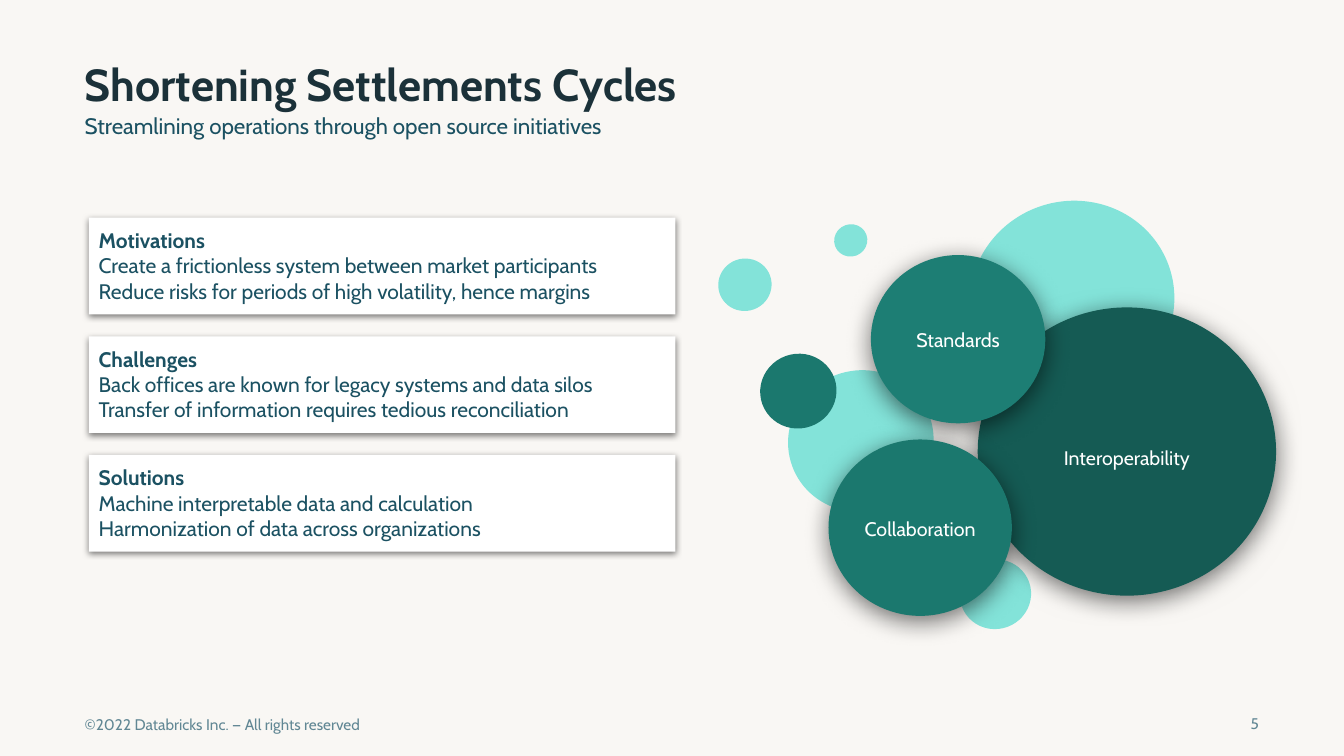
import pptx
import pptx.util
import pptx.dml.color
import pptx.enum.shapes
import pptx.enum.text
import pptx.oxml.ns
import lxml.etree

Pt = pptx.util.Pt
RGBColor = pptx.dml.color.RGBColor
Shape = pptx.enum.shapes.MSO_SHAPE
Align = pptx.enum.text.PP_ALIGN
Anchor = pptx.enum.text.MSO_ANCHOR

PAPER = RGBColor(0xF9, 0xF7, 0xF4)
WHITE = RGBColor(0xFF, 0xFF, 0xFF)
INK = RGBColor(0x1B, 0x31, 0x39)
BLUE = RGBColor(0x1B, 0x51, 0x62)
GREY = RGBColor(0x61, 0x87, 0x94)
MINT = RGBColor(0x83, 0xE3, 0xD9)
TEAL = RGBColor(0x1B, 0x78, 0x6E)
MID_TEAL = RGBColor(0x1D, 0x7E, 0x74)
DARK_TEAL = RGBColor(0x15, 0x5B, 0x54)

CARDS = [
    ("Motivations",
     "Create a frictionless system between market participants",
     "Reduce risks for periods of high volatility, hence margins"),
    ("Challenges",
     "Back offices are known for legacy systems and data silos",
     "Transfer of information requires tedious reconciliation"),
    ("Solutions",
     "Machine interpretable data and calculation",
     "Harmonization of data across organizations"),
]
CARD_TOP, CARD_PITCH = 155.5, 84.7

BUBBLES = [
    ((686.2, 398.9, 49.7, 51.1), MINT),
    ((513.4, 184.3, 37.4, 38.2), MINT),
    ((564.5, 262.8, 100.8, 104.4), MINT),
    ((694.8, 141.1, 141.8, 146.9), MINT),
    ((543.6, 252, 53.3, 54.7), TEAL),
    ((596.2, 159.8, 23, 23.8), MINT),
]
# Each topic: label, frame, fill, distance of the label below the centre
TOPICS = [
    ("Interoperability", (698.4, 219.6, 213.1, 205.9), DARK_TEAL, 4.3),
    ("Standards", (622.1, 182.2, 124.6, 120.2), MID_TEAL, 0),
    ("Collaboration", (591.8, 313.9, 131, 126), TEAL, 0.8),
]


def write(box, text, size=15, color=BLUE, bold_first=False, align=Align.LEFT,
          anchor=Anchor.TOP, insets=(0, 0, 0, 0), spacing=1.0, wrap=True):
    """Fill a shape with one paragraph per line of text."""
    frame = box.text_frame
    frame.auto_size = pptx.enum.text.MSO_AUTO_SIZE.NONE
    frame.word_wrap = wrap
    frame.vertical_anchor = anchor
    (frame.margin_left, frame.margin_top,
     frame.margin_right, frame.margin_bottom) = map(Pt, insets)
    for index, line in enumerate(text.split("\n")):
        para = frame.add_paragraph() if index else frame.paragraphs[0]
        para.alignment = align
        para.line_spacing = spacing
        para.space_before = Pt(0)
        span = para.add_run()
        span.text = line
        span.font.name = "Cabin"
        span.font.size = Pt(size)
        span.font.bold = bold_first and index == 0
        span.font.color.rgb = color


def add_shadow(shape, blur, distance, opacity):
    effects = shape._element.spPr.find(pptx.oxml.ns.qn("a:effectLst"))
    shadow = lxml.etree.SubElement(
        effects, pptx.oxml.ns.qn("a:outerShdw"), blurRad=str(Pt(blur)),
        dist=str(Pt(distance)), dir="5400000", algn="t", rotWithShape="0")
    black = lxml.etree.SubElement(shadow, pptx.oxml.ns.qn("a:srgbClr"), val="000000")
    lxml.etree.SubElement(black, pptx.oxml.ns.qn("a:alpha"), val=str(opacity * 1000))


class SlideBuilder:
    def __init__(self, deck):
        self.slide = deck.slides.add_slide(deck.slide_layouts[0])
        self.slide.background.fill.solid()
        self.slide.background.fill.fore_color.rgb = PAPER

    def heading(self, index, frame, text, **style):
        box = self.slide.placeholders[index]
        box.left, box.top, box.width, box.height = map(Pt, frame)
        write(box, text, spacing=0.9, **style)

    def label(self, frame, text, **style):
        box = self.slide.shapes.add_textbox(*map(Pt, frame))
        write(box, text, size=11, color=GREY, **style)

    def shape(self, kind, frame, fill):
        shape = self.slide.shapes.add_shape(kind, *map(Pt, frame))
        shape.shadow.inherit = False
        shape.fill.solid()
        shape.fill.fore_color.rgb = fill
        shape.line.fill.background()
        return shape

    def card(self, top, lines):
        card = self.shape(Shape.RECTANGLE, (63.4, top, 419, 69.1), WHITE)
        add_shadow(card, 4.5, 1.5, 50)
        write(card, "\n".join(lines), bold_first=True, insets=(7.2,) * 4)

    def bubble(self, frame, fill):
        self.shape(Shape.OVAL, frame, fill).rotation = 250

    def topic(self, text, frame, fill, drop):
        circle = self.shape(Shape.OVAL, frame, fill)
        add_shadow(circle, 18, 4, 55)
        write(circle, text, size=14, color=WHITE, align=Align.CENTER,
              anchor=Anchor.MIDDLE, insets=(0, 2 * drop, 0, 0), wrap=False)


def main():
    deck = pptx.Presentation()
    deck.slide_width, deck.slide_height = Pt(960), Pt(540)
    page = SlideBuilder(deck)
    page.label((51.1, 501.1, 423.4, 32.4), "©2022 Databricks Inc. — All rights reserved",
               insets=(9.4,) * 4)
    page.label((874.1, 509.8, 25.2, 14.4), "5", align=Align.RIGHT)
    page.heading(0, (60.5, 42.5, 839.5, 39.6), "Shortening Settlements Cycles",
                 size=32, color=INK, bold_first=True, anchor=Anchor.MIDDLE)
    page.heading(1, (60.5, 82.1, 839.5, 25.2),
                 "Streamlining operations through open source initiatives", size=16)
    for row, lines in enumerate(CARDS):
        page.card(CARD_TOP + row * CARD_PITCH, lines)
    for frame, fill in BUBBLES:
        page.bubble(frame, fill)
    for topic in TOPICS:
        page.topic(*topic)
    deck.save("out.pptx")


if __name__ == "__main__":
    main()
